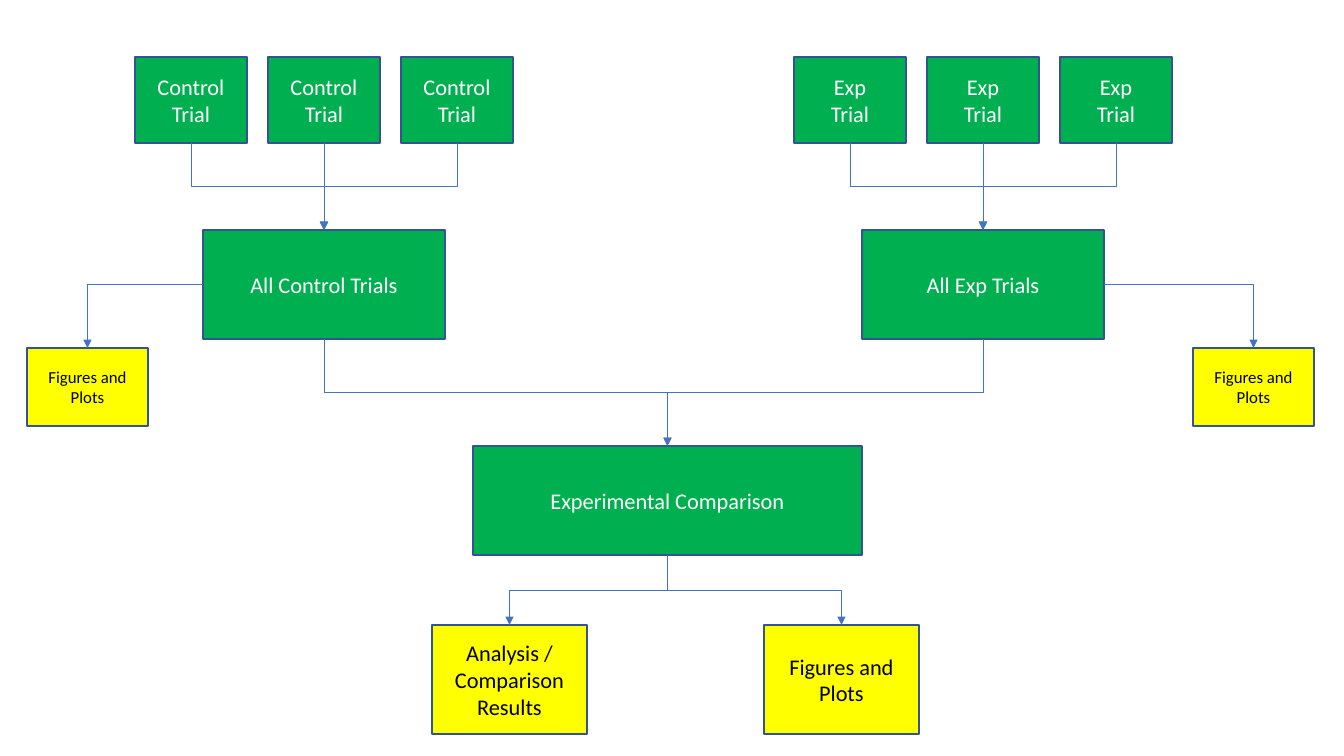
from lxml import etree
from pptx import Presentation
from pptx.dml.color import RGBColor
from pptx.enum.shapes import MSO_CONNECTOR, MSO_SHAPE
from pptx.enum.text import MSO_ANCHOR, PP_ALIGN
from pptx.oxml.ns import qn
from pptx.util import Emu, Pt

RECTANGLE = MSO_SHAPE.RECTANGLE
STRAIGHT, ELBOW = MSO_CONNECTOR.STRAIGHT, MSO_CONNECTOR.ELBOW
MIDDLE, CENTER = MSO_ANCHOR.MIDDLE, PP_ALIGN.CENTER
TOP, LEFT, BOTTOM, RIGHT = range(4)  # connection sites of a rectangle

GREEN = RGBColor(0x00, 0xB0, 0x50)
YELLOW = RGBColor(0xFF, 0xFF, 0x00)
OUTLINE = RGBColor(0x32, 0x54, 0x91)
ARROW = RGBColor(0x44, 0x72, 0xC4)
WHITE = RGBColor(0xFF, 0xFF, 0xFF)
BLACK = RGBColor(0x00, 0x00, 0x00)

# Content: each group's trials, their pooled box and its figures box
GROUPS = [
    {"trial": "Control\nTrial", "pooled": "All Control Trials",
     "trial_left": 135, "pooled_left": 203, "figures_left": 27, "side": LEFT},
    {"trial": "Exp\nTrial", "pooled": "All Exp Trials",
     "trial_left": 794, "pooled_left": 862, "figures_left": 1193, "side": RIGHT},
]
FIGURES = "Figures and Plots"
COMPARISON = "Experimental Comparison"
OUTCOMES = [("Analysis / Comparison Results", 432), (FIGURES, 764)]

# Layout, in pixels
TRIALS_PER_GROUP, TRIAL_STEP = 3, 133
TRIAL_TOP, TRIAL_SIZE = 57, (112, 86)
POOLED_TOP, POOLED_SIZE = 230, (242, 109)
FIGURES_TOP, FIGURES_SIZE = 348, (121, 78)
COMPARISON_AT, COMPARISON_SIZE = (473, 446), (389, 109)
OUTCOME_TOP, OUTCOME_SIZE = 625, (155, 109)


def px(pixels):
    return Emu(round(pixels * 914400 / 100.8))


prs = Presentation()
prs.slide_width, prs.slide_height = px(1344), px(756)
slide = prs.slides.add_slide(prs.slide_layouts[6])


def add_box(text, left, top, size, fill=GREEN, color=WHITE, points=16):
    box = slide.shapes.add_shape(RECTANGLE, px(left), px(top), *map(px, size))
    box.shadow.inherit = False
    box.fill.solid()
    box.fill.fore_color.rgb = fill
    box.line.color.rgb = OUTLINE
    box.line.width = Pt(1)
    frame = box.text_frame
    frame.word_wrap = True
    frame.vertical_anchor = MIDDLE
    frame.text = text
    for paragraph in frame.paragraphs:
        paragraph.alignment = CENTER
        paragraph.font.name = "Calibri"
        paragraph.font.size = Pt(points)
        paragraph.font.color.rgb = color
    return box


def bend_downwards(arrow):
    """Turn an elbow so that it leaves and arrives vertically."""
    across, down = arrow.width, arrow.height
    middle_x = arrow.left + across // 2
    middle_y = arrow.top + down // 2
    to_right = arrow.end_x > arrow.begin_x
    arrow.width, arrow.height = down, across
    arrow.left, arrow.top = middle_x - down // 2, middle_y - across // 2
    xfrm = arrow._element.spPr.find(qn("a:xfrm"))
    xfrm.set("rot", str((270 if to_right else 90) * 60000))
    xfrm.set("flipH", "1" if to_right else "0")


def add_arrow(source, target, site=BOTTOM):
    center_gap = (source.left + source.width // 2) - (target.left + target.width // 2)
    aligned = abs(center_gap) < px(1)
    arrow = slide.shapes.add_connector(STRAIGHT if aligned else ELBOW, 0, 0, 0, 0)
    arrow.begin_connect(source, site)
    arrow.end_connect(target, TOP)
    arrow.line.color.rgb = ARROW
    arrow.line.width = Pt(0.5)
    properties = arrow._element.spPr
    etree.SubElement(properties.find(qn("a:ln")), qn("a:tailEnd"), type="triangle")
    etree.SubElement(properties, qn("a:effectLst"))
    if site != BOTTOM:
        properties.find(qn("a:prstGeom")).set("prst", "bentConnector2")
    elif not aligned:
        bend_downwards(arrow)


# Comparison of both groups
comparison = add_box(COMPARISON, *COMPARISON_AT, COMPARISON_SIZE)

# Trials, pooled trials and figures of each group
for group in GROUPS:
    pooled = add_box(group["pooled"], group["pooled_left"], POOLED_TOP, POOLED_SIZE)
    for index in range(TRIALS_PER_GROUP):
        trial_left = group["trial_left"] + index * TRIAL_STEP
        trial = add_box(group["trial"], trial_left, TRIAL_TOP, TRIAL_SIZE)
        add_arrow(trial, pooled)
    figures = add_box(FIGURES, group["figures_left"], FIGURES_TOP, FIGURES_SIZE,
                      YELLOW, BLACK, 12)
    add_arrow(pooled, figures, group["side"])
    add_arrow(pooled, comparison)

# Outcomes of the comparison
for text, left in OUTCOMES:
    outcome = add_box(text, left, OUTCOME_TOP, OUTCOME_SIZE, YELLOW, BLACK)
    add_arrow(comparison, outcome)

prs.save("out.pptx")
